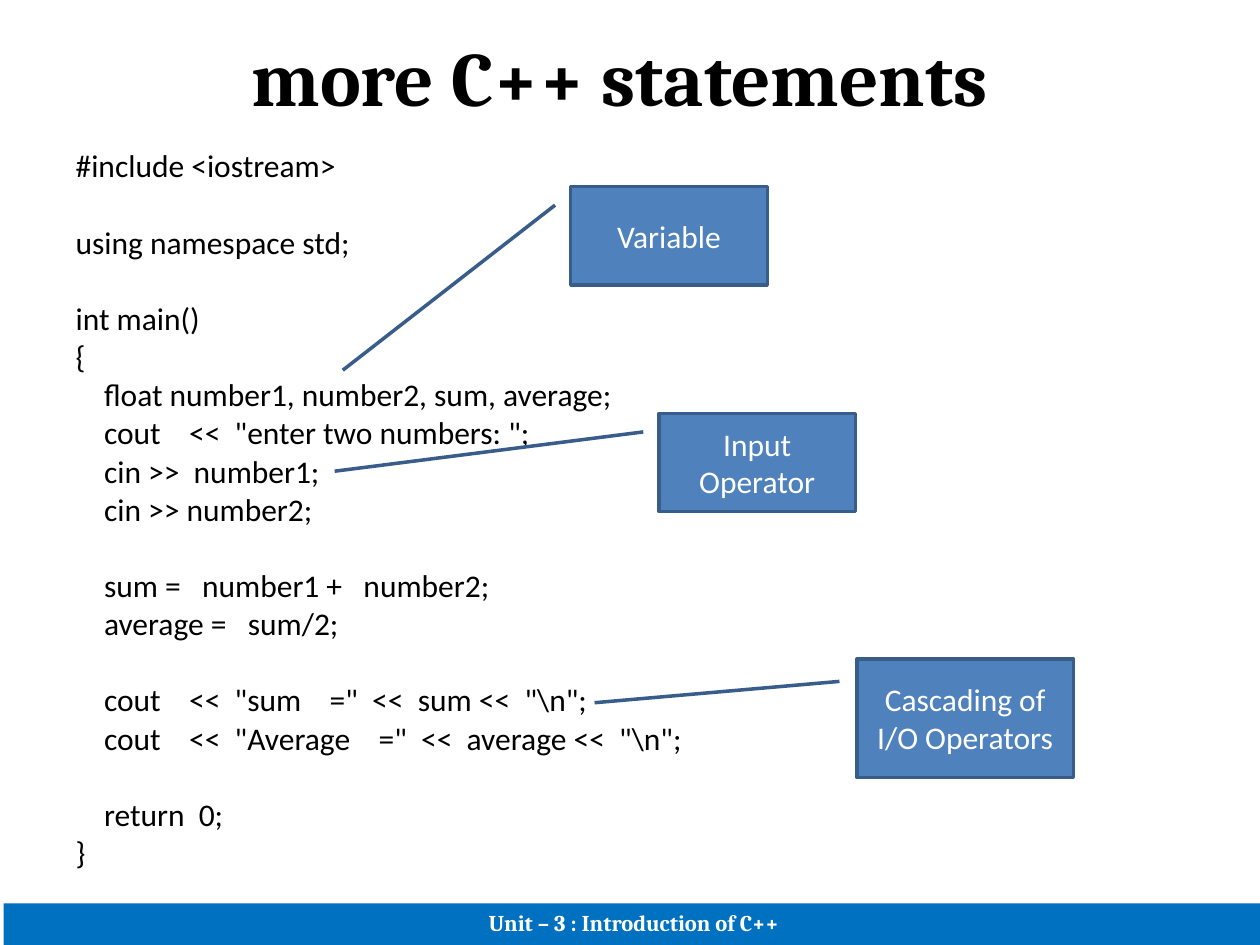
from lxml import etree
from pptx import Presentation
from pptx import util as u
from pptx.dml.color import RGBColor
from pptx.enum import shapes, text
from pptx.oxml.ns import qn

BLACK = RGBColor(0x00, 0x00, 0x00)
WHITE = RGBColor(0xFF, 0xFF, 0xFF)
CALLOUT_FILL = RGBColor(0x4F, 0x81, 0xBD)
CALLOUT_LINE = RGBColor(0x38, 0x5D, 0x8A)
FOOTER_FILL = RGBColor(0x00, 0x70, 0xC0)

CODE = r'''#include <iostream>

using namespace std;

int main()
{
    float number1, number2, sum, average;
    cout    <<  "enter two numbers: ";
    cin >>  number1;
    cin >> number2;

    sum =   number1 +   number2;
    average =   sum/2;

    cout    <<  "sum    ="  <<  sum <<  "\n";
    cout    <<  "Average    ="  <<  average <<  "\n";

    return  0;
}'''
LINE_GAP = 4.5
BLOCK_GAP = 26.3

CALLOUTS = [
    ("Variable", (4.53, 1.48, 1.56, 0.78), (1.87, -1.16)),
    ("Input Operator", (5.23, 3.28, 1.56, 0.78), (0.59, -1.65)),
    ("Cascading of I/O Operators", (6.8, 5.23, 1.72, 0.94), (0.37, -1.21)),
]


def place(shape, left, top, width, height):
    shape.left, shape.top = u.Inches(left), u.Inches(top)
    shape.width, shape.height = u.Inches(width), u.Inches(height)


def format_text(paragraph, font_name, size, color, bold=False):
    for run in paragraph.runs:
        run.font.name = font_name
        run.font.size = u.Pt(size)
        run.font.color.rgb = color
        run.font.bold = bold


presentation = Presentation()
presentation.slide_width = u.Inches(10)
presentation.slide_height = u.Inches(7.5)
slide = presentation.slides.add_slide(presentation.slide_layouts[1])

title = slide.shapes.title
place(title, 0.42, 0.03, 9, 1.14)
title.text_frame.text = "more C++ statements"
title.text_frame.vertical_anchor = text.MSO_ANCHOR.MIDDLE
format_text(title.text_frame.paragraphs[0], "Cambria", 44, BLACK, bold=True)

body = slide.placeholders[1]
place(body, 0.5, 1.17, 9, 5.92)
code_frame = body.text_frame
code_frame.auto_size = text.MSO_AUTO_SIZE.NONE
for block_number, block in enumerate(CODE.split("\n\n")):
    for line_number, line in enumerate(block.split("\n")):
        if block_number == line_number == 0:
            paragraph, gap = code_frame.paragraphs[0], 0
        else:
            paragraph = code_frame.add_paragraph()
            gap = LINE_GAP if line_number else BLOCK_GAP
        paragraph.text = line
        paragraph.line_spacing = 0.8
        paragraph.space_before = u.Pt(gap)
        properties = paragraph._p.get_or_add_pPr()
        properties.set("marL", str(u.Inches(0.38)))
        properties.set("indent", str(u.Inches(-0.38)))
        etree.SubElement(properties, qn("a:buNone"))
        format_text(paragraph, "Calibri", 18, BLACK)

for label, box, (end_y, end_x) in CALLOUTS:
    callout = slide.shapes.add_shape(
        shapes.MSO_SHAPE.LINE_CALLOUT_1, *[u.Inches(value) for value in box])
    for index, value in enumerate((0.19, -0.08, end_y, end_x)):
        callout.adjustments[index] = value
    callout.shadow.inherit = False
    callout.fill.solid()
    callout.fill.fore_color.rgb = CALLOUT_FILL
    callout.line.color.rgb = CALLOUT_LINE
    callout.line.width = u.Pt(2)
    callout.text_frame.word_wrap = True
    callout.text_frame.text = label
    callout.text_frame.vertical_anchor = text.MSO_ANCHOR.MIDDLE
    paragraph = callout.text_frame.paragraphs[0]
    paragraph.alignment = text.PP_ALIGN.CENTER
    format_text(paragraph, "Calibri", 18, WHITE)

footer = slide.shapes.add_shape(
    shapes.MSO_SHAPE.RECTANGLE, u.Inches(0.03), u.Inches(7.17), u.Inches(10), u.Inches(0.33))
footer.shadow.inherit = False
footer.fill.solid()
footer.fill.fore_color.rgb = FOOTER_FILL
footer.line.fill.background()
footer.text_frame.text = "Unit – 3 : Introduction of C++"
footer.text_frame.vertical_anchor = text.MSO_ANCHOR.MIDDLE
paragraph = footer.text_frame.paragraphs[0]
paragraph.alignment = text.PP_ALIGN.CENTER
paragraph.line_spacing = 0.9
format_text(paragraph, "Cambria", 12.9, WHITE, bold=True)

presentation.save("out.pptx")
